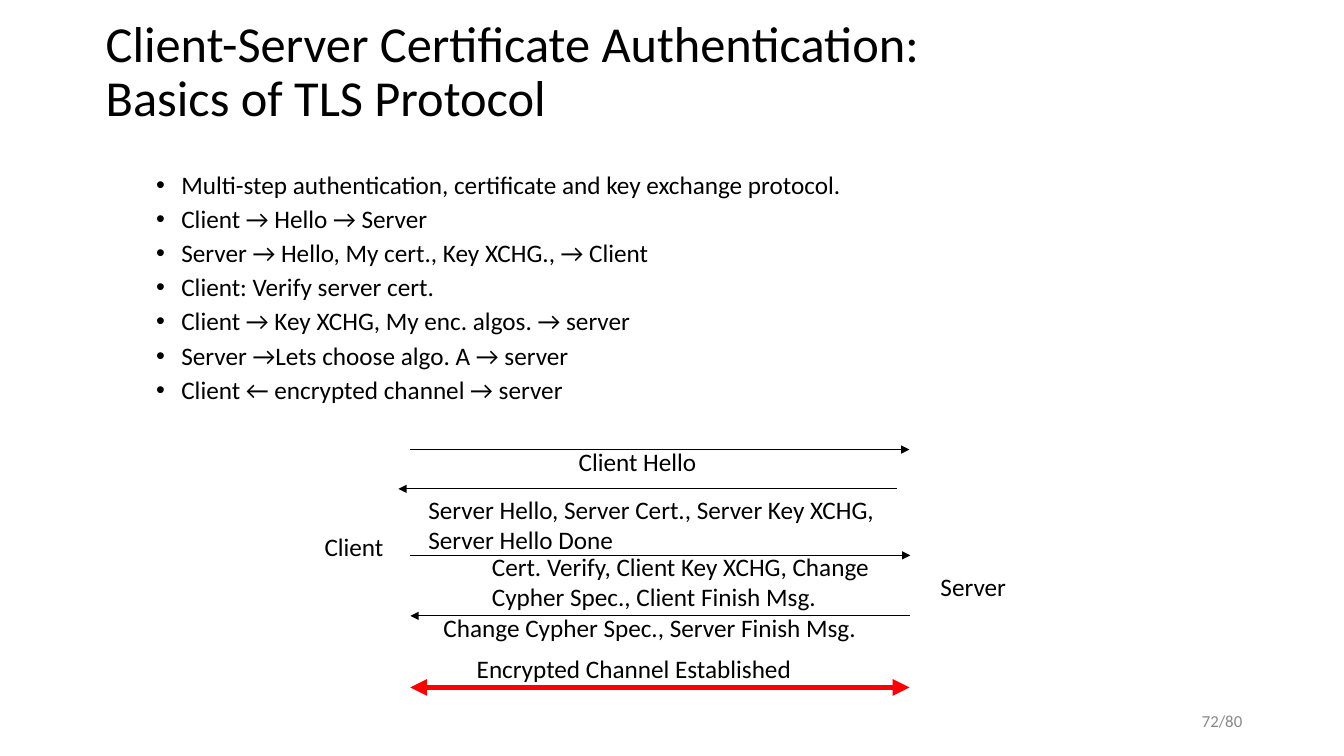
import pptx
import pptx.dml.color
import pptx.enum.shapes
import pptx.enum.text
import pptx.oxml.ns
import pptx.util
from lxml import etree
from pptx.util import Inches

COLORS = {"ink": "000000", "secure": "FF0000", "muted": "888888"}
FONT = "Calibri"

STEPS = [
    "Multi-step authentication, certificate and key exchange protocol.",
    "Client → Hello → Server",
    "Server → Hello, My cert., Key XCHG., → Client",
    "Client: Verify server cert.",
    "Client → Key XCHG, My enc. algos. → server",
    "Server →Lets choose algo. A → server",
    "Client ← encrypted channel → server",
]

# Offsets are relative to the diagram's left and top.
PARTIES = [("Client", (0, 0.84, 0.79, 0.4)), ("Server", (6.11, 1.24, 0.86, 0.4))]

# Text, text box, arrow (left, y, length), ends with an arrowhead, colour, width
MESSAGES = [
    ("Client Hello", (2.52, 0, 1.38, 0.4),
     (0.95, 0.08, 4.95), ["tailEnd"], "ink", 0.75),
    ("Server Hello, Server Cert., Server Key XCHG, Server Hello Done",
     (1.03, 0.47, 4.98, 0.71), (0.83, 0.47, 4.95), ["headEnd"], "ink", 0.75),
    ("Cert. Verify, Client Key XCHG, Change Cypher Spec., Client Finish Msg.",
     (1.66, 1.04, 4.01, 1.01), (0.95, 1.13, 4.96), ["tailEnd"], "ink", 0.75),
    ("Change Cypher Spec., Server Finish Msg.", (1.18, 1.65, 4.56, 0.71),
     (0.95, 1.73, 4.96), ["headEnd"], "ink", 0.75),
    ("Encrypted Channel Established", (1.51, 2.05, 4.56, 0.4),
     (0.95, 2.44, 4.95), ["headEnd", "tailEnd"], "secure", 4),
]


def rgb(name):
    return pptx.dml.color.RGBColor.from_string(COLORS[name])


def add_text(slide, box, lines, size=18, color="ink", line_spacing=None,
             anchor=pptx.enum.text.MSO_ANCHOR.TOP):
    """Add a text box with one paragraph per line and return its paragraphs."""
    frame = slide.shapes.add_textbox(*map(Inches, box)).text_frame
    frame.word_wrap = True
    frame.vertical_anchor = anchor
    frame.margin_left = frame.margin_right = Inches(0.1)
    frame.margin_top = frame.margin_bottom = Inches(0.05)
    frame.text = "\n".join(lines)
    for paragraph in frame.paragraphs:
        paragraph.line_spacing = line_spacing
        for run in paragraph.runs:
            run.font.name = FONT
            run.font.size = pptx.util.Pt(size)
            run.font.color.rgb = rgb(color)
    return frame.paragraphs


def add_title(slide, box):
    add_text(slide, box,
             ["Client-Server Certificate Authentication:", "Basics of TLS Protocol"],
             size=36, line_spacing=0.9, anchor=pptx.enum.text.MSO_ANCHOR.MIDDLE)


def add_steps(slide, box):
    paragraphs = add_text(slide, box, STEPS, line_spacing=0.9)
    for index, step in enumerate(paragraphs):
        if index:
            step.space_before = pptx.util.Pt(5)
        properties = step._p.get_or_add_pPr()
        properties.set("marL", str(Inches(0.75)))
        properties.set("indent", str(Inches(-0.25)))
        bullet_font = etree.SubElement(properties, pptx.oxml.ns.qn("a:buFont"))
        bullet_font.set("typeface", "Arial")
        bullet = etree.SubElement(properties, pptx.oxml.ns.qn("a:buChar"))
        bullet.set("char", "•")


def add_arrow(slide, left, y, length, heads, color, width):
    arrow = slide.shapes.add_connector(
        pptx.enum.shapes.MSO_CONNECTOR.STRAIGHT,
        Inches(left), Inches(y), Inches(left + length), Inches(y))
    arrow.line.color.rgb = rgb(color)
    arrow.line.width = pptx.util.Pt(width)
    line = arrow.line._get_or_add_ln()
    for end in heads:
        etree.SubElement(line, pptx.oxml.ns.qn(f"a:{end}")).set("type", "triangle")
    etree.SubElement(arrow._element.spPr, pptx.oxml.ns.qn("a:effectLst"))


def add_handshake(slide, left, top):
    """Place the message exchange between client and server."""
    for party, (x, y, width, height) in PARTIES:
        add_text(slide, (left + x, top + y, width, height), [party])
    for message, label, arrow, heads, color, weight in MESSAGES:
        x, y, width, height = label
        start, level, length = arrow
        add_arrow(slide, left + start, top + level, length, heads, color, weight)
        add_text(slide, (left + x, top + y, width, height), [message])


def add_page_number(slide, box):
    number, = add_text(slide, box, ["72/80"], size=12, color="muted",
                       anchor=pptx.enum.text.MSO_ANCHOR.MIDDLE)
    number.alignment = pptx.enum.text.PP_ALIGN.RIGHT


def main():
    deck = pptx.Presentation()
    deck.slide_width, deck.slide_height = Inches(13.33), Inches(7.5)
    slide = deck.slides.add_slide(deck.slide_layouts[6])
    add_steps(slide, (0.95, 1.66, 11.68, 5.84))
    add_handshake(slide, 3.12, 4.38)
    add_page_number(slide, (9.42, 6.95, 3, 0.4))
    add_title(slide, (0.95, 0, 12.38, 1.45))
    deck.save("out.pptx")


if __name__ == "__main__":
    main()
